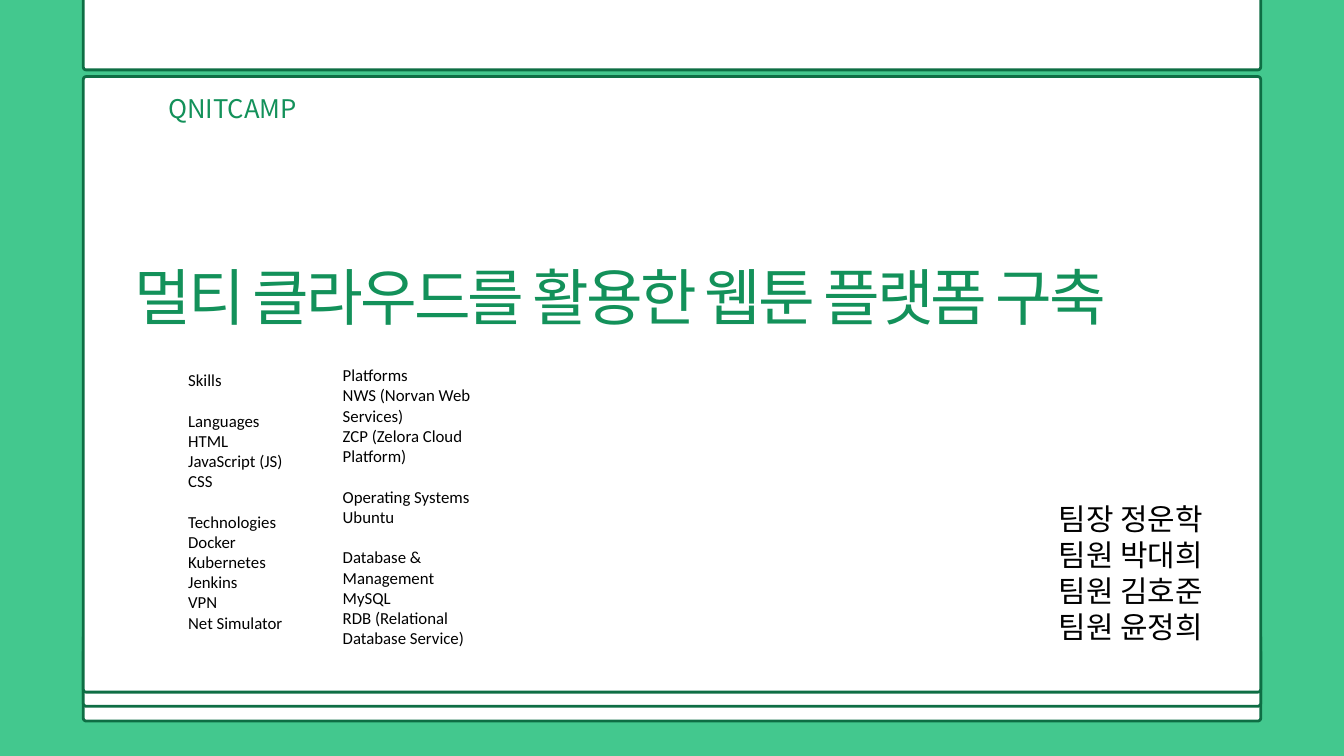
from pptx import Presentation, util as u
from pptx.dml.color import RGBColor
from pptx.enum import shapes, text
from pptx.oxml.ns import qn
from lxml import etree

W, H = 20, 11.25
SANS, BODY = "Noto Sans CJK KR", "Calibri"
GREEN, EDGE, MINT, WHITE, BLACK = "13915A", "0E6E44", "43C88E", "FFFFFF", "000000"

# Each block is a list of groups; each group is a list of lines.
TITLE = [["멀티 클라우드를 활용한 웹툰 플랫폼 구축"]]
SCHOOL = [["QNITCAMP"]]
TEAM = [["팀장 정운학", "팀원 박대희", "팀원 김호준", "팀원 윤정희"]]
SKILLS = [
    ["Skills"],
    ["Languages", "HTML", "JavaScript (JS)", "CSS"],
    ["Technologies", "Docker", "Kubernetes", "Jenkins", "VPN", "Net Simulator"],
]
STACK = [
    ["Platforms", "NWS (Norvan Web Services)", "ZCP (Zelora Cloud Platform)"],
    ["Operating Systems", "Ubuntu"],
    ["Database & Management", "MySQL", "RDB (Relational Database Service)"],
]

# Cards from back to front: top and height
CARDS = [(9.66, 1.07), (9.44, 1.07), (1.14, 9.16), (-0.31, 1.35)]
SIDE, ROUND = 1.24, 0.04


def rgb(code):
    return RGBColor.from_string(code)


def place(shape, left, top, width, height):
    shape.left, shape.top = u.Inches(left), u.Inches(top)
    shape.width, shape.height = u.Inches(width), u.Inches(height)


def card(slide, top, height):
    box = slide.shapes.add_shape(
        shapes.MSO_SHAPE.ROUNDED_RECTANGLE,
        *map(u.Inches, (SIDE, top, W - 2 * SIDE, height)))
    box.adjustments[0] = ROUND / height
    box.shadow.inherit = False
    box.fill.solid()
    box.fill.fore_color.rgb = rgb(WHITE)
    box.line.color.rgb = rgb(EDGE)
    box.line.width = u.Pt(3)


def write(shape, groups, size, face, color, pad=0.1, lead=1.0, gap=0,
          align=text.PP_ALIGN.LEFT, track=0):
    """Fill a frame; gap is the space in points before each later group."""
    tree = shape.element.getparent()
    tree.append(shape.element)
    frame = shape.text_frame
    form = dict(word_wrap=True, auto_size=text.MSO_AUTO_SIZE.NONE,
                vertical_anchor=text.MSO_ANCHOR.TOP,
                margin_left=u.Inches(pad), margin_right=u.Inches(pad),
                margin_top=u.Inches(pad / 2), margin_bottom=u.Inches(pad / 2))
    for key, value in form.items():
        setattr(frame, key, value)
    lines = [(line, gap if n and not i else 0)
             for n, group in enumerate(groups) for i, line in enumerate(group)]
    for n, (line, space) in enumerate(lines):
        para = frame.add_paragraph() if n else frame.paragraphs[0]
        props = para._p.get_or_add_pPr()
        props.set("marL", "0")
        props.set("indent", "0")
        etree.SubElement(props, qn("a:buNone"))
        style = dict(alignment=align, line_spacing=lead,
                     space_before=u.Pt(space), space_after=u.Pt(0))
        for key, value in style.items():
            setattr(para, key, value)
        run = para.add_run()
        run.text = line
        run.font.size, run.font.name = u.Pt(size), face
        run.font.color.rgb = rgb(color)
        mark = run.font._element
        if track:
            mark.set("spc", str(round(track * 100)))
        if face == SANS:
            etree.SubElement(mark, qn("a:ea")).set("typeface", face)


def main():
    deck = Presentation()
    deck.slide_width, deck.slide_height = u.Inches(W), u.Inches(H)
    slide = deck.slides.add_slide(deck.slide_layouts.get_by_name("Two Content"))
    slide.background.fill.solid()
    slide.background.fill.fore_color.rgb = rgb(MINT)
    for top, height in CARDS:
        card(slide, top, height)

    title, left, right = slide.placeholders
    school, team = (slide.shapes.add_textbox(0, 0, 0, 0) for _ in range(2))
    plain = dict(size=18, face=BODY, color=BLACK, gap=22)
    blocks = [
        (title, (2, 3.21, 16.65, 1.6), TITLE,
         dict(size=66, face=SANS, color=GREEN, pad=0, lead=u.Pt(125.8), track=-3.1)),
        (school, (2.5, 1.07, 2.92, 0.7), SCHOOL,
         dict(size=27.5, face=SANS, color=GREEN, pad=0, lead=u.Pt(55.4))),
        (team, (15.17, 7.4, 2.83, 2.26), TEAM,
         dict(size=32, face=SANS, color=BLACK, lead=u.Pt(38.6),
              align=text.PP_ALIGN.RIGHT)),
        (left, (2.7, 5.45, 2.13, 4.34), SKILLS, plain),
        (right, (5, 5.38, 2.13, 4.34), STACK, plain),
    ]
    for shape, spot, groups, form in blocks:
        place(shape, *spot)
        write(shape, groups, **form)
    deck.save("out.pptx")


if __name__ == "__main__":
    main()
